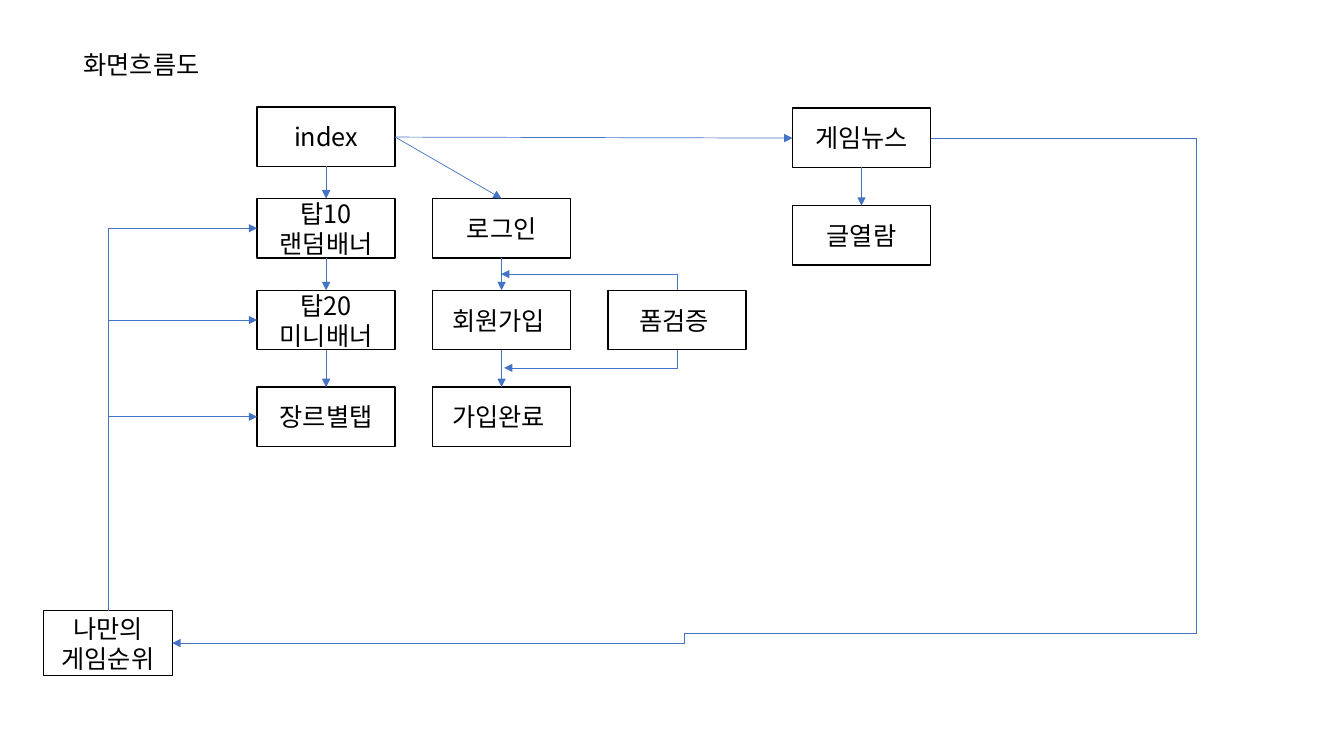
from lxml import etree
from pptx import Presentation
from pptx.dml.color import RGBColor
from pptx.enum import shapes, text
from pptx.oxml import ns
from pptx.util import Inches, Pt

BLACK = RGBColor(0, 0, 0)
WHITE = RGBColor(255, 255, 255)
BLUE = RGBColor(0x44, 0x72, 0xC4)
FONT = "Noto Sans CJK KR"
WIDE, HIGH = 1.37, 0.59
MENU, LOGIN, FORM, NEWS = 2.55, 4.29, 6.03, 7.86
ROWS = (1.06, 1.97, 2.88, 3.84)
RANK = (0.43, 6.06, 1.28, 0.64)
EDGE = 11.87


def write(frame, words):
    """Add one styled run to the first paragraph."""
    run = frame.paragraphs[0].add_run()
    run.text = words
    run.font.size = Pt(18)
    run.font.name = FONT
    run.font.color.rgb = BLACK
    east = etree.SubElement(run.font._element, ns.qn("a:ea"))
    east.set("typeface", FONT)


def box(slide, words, x, y, wide=WIDE, high=HIGH):
    """Draw a white box with centred text."""
    shape = slide.shapes.add_shape(
        shapes.MSO_SHAPE.RECTANGLE,
        Inches(x), Inches(y), Inches(wide), Inches(high))
    shape.shadow.inherit = False
    shape.fill.solid()
    shape.fill.fore_color.rgb = WHITE
    shape.line.color.rgb = BLACK
    shape.line.width = Pt(1)
    frame = shape.text_frame
    frame.word_wrap = True
    frame.vertical_anchor = text.MSO_ANCHOR.MIDDLE
    frame.paragraphs[0].alignment = text.PP_ALIGN.CENTER
    write(frame, words)


def link(slide, start, end, kind=shapes.MSO_CONNECTOR.STRAIGHT, head=True):
    """Draw a thin blue connector and return it."""
    line = slide.shapes.add_connector(
        kind, *(Inches(v) for v in (*start, *end)))
    line.line.color.rgb = BLUE
    line.line.width = Pt(0.5)
    if head:
        tip = etree.SubElement(line.line._get_or_add_ln(), ns.qn("a:tailEnd"))
        tip.set("type", "triangle")
    etree.SubElement(line._element.spPr, ns.qn("a:effectLst"))
    return line


def elbow(slide, start, end, head=True):
    """Draw a connector that turns once, going across first."""
    line = link(slide, start, end, shapes.MSO_CONNECTOR.ELBOW, head)
    line._element.spPr.find(ns.qn("a:prstGeom")).set("prst", "bentConnector2")
    return line


def rise(slide, start, end):
    """Draw an arrow that turns once, going up or down first."""
    (x0, y0), (x1, y1) = start, end
    mid, level = (x0 + x1) / 2, (y0 + y1) / 2
    half, rest = abs(y1 - y0) / 2, abs(x1 - x0) / 2
    right, up = x1 > x0, y1 < y0
    if right:
        half = -half
    if up:
        rest = -rest
    line = elbow(slide, (mid - half, level - rest), (mid + half, level + rest))
    turn = 270 if up and not right else 90
    line._element.spPr.find(ns.qn("a:xfrm")).set("rot", str(turn * 60000))


def column(slide, names, x, tops):
    """Stack boxes and join each one to the next."""
    for name, y in zip(names, tops):
        box(slide, name, x, y)
    mid = x + WIDE / 2
    for y, below in zip(tops, tops[1:]):
        link(slide, (mid, y + HIGH), (mid, below))


def title(slide, words):
    """Add the slide heading."""
    area = slide.shapes.add_textbox(
        Inches(0.73), Inches(0.44), Inches(1.48), Inches(0.4))
    area.text_frame.word_wrap = True
    write(area.text_frame, words)


def main():
    """Build the screen flow slide."""
    deck = Presentation()
    deck.slide_width, deck.slide_height = Inches(13.33), Inches(7.5)
    slide = deck.slides.add_slide(deck.slide_layouts[6])
    title(slide, "화면흐름도")
    column(slide, ("index", "탑10랜덤배너", "탑20 미니배너", "장르별탭"), MENU, ROWS)
    column(slide, ("로그인", "회원가입 ", "가입완료 "), LOGIN, ROWS[1:])
    column(slide, ("게임뉴스", "글열람"), NEWS, (1.07, 2.04))
    box(slide, "폼검증 ", FORM, ROWS[2])
    box(slide, "나만의 게임순위", *RANK)

    index = (MENU + WIDE, 1.36)
    link(slide, index, (LOGIN + WIDE / 2, ROWS[1]))
    link(slide, index, (NEWS, 1.37))
    form = FORM + WIDE / 2
    rise(slide, (form, ROWS[2] + HIGH), (5, 3.65))
    rise(slide, (form, ROWS[2]), (4.97, 2.72))
    x, y, wide, high = RANK
    for top in ROWS[1:]:
        rise(slide, (x + wide / 2, y), (MENU, top + HIGH / 2))
    elbow(slide, (NEWS + WIDE, 1.37), (EDGE, 6.28), head=False)
    link(slide, (EDGE, 6.28), (x + wide, y + high / 2),
         shapes.MSO_CONNECTOR.ELBOW)
    deck.save("out.pptx")


if __name__ == "__main__":
    main()
